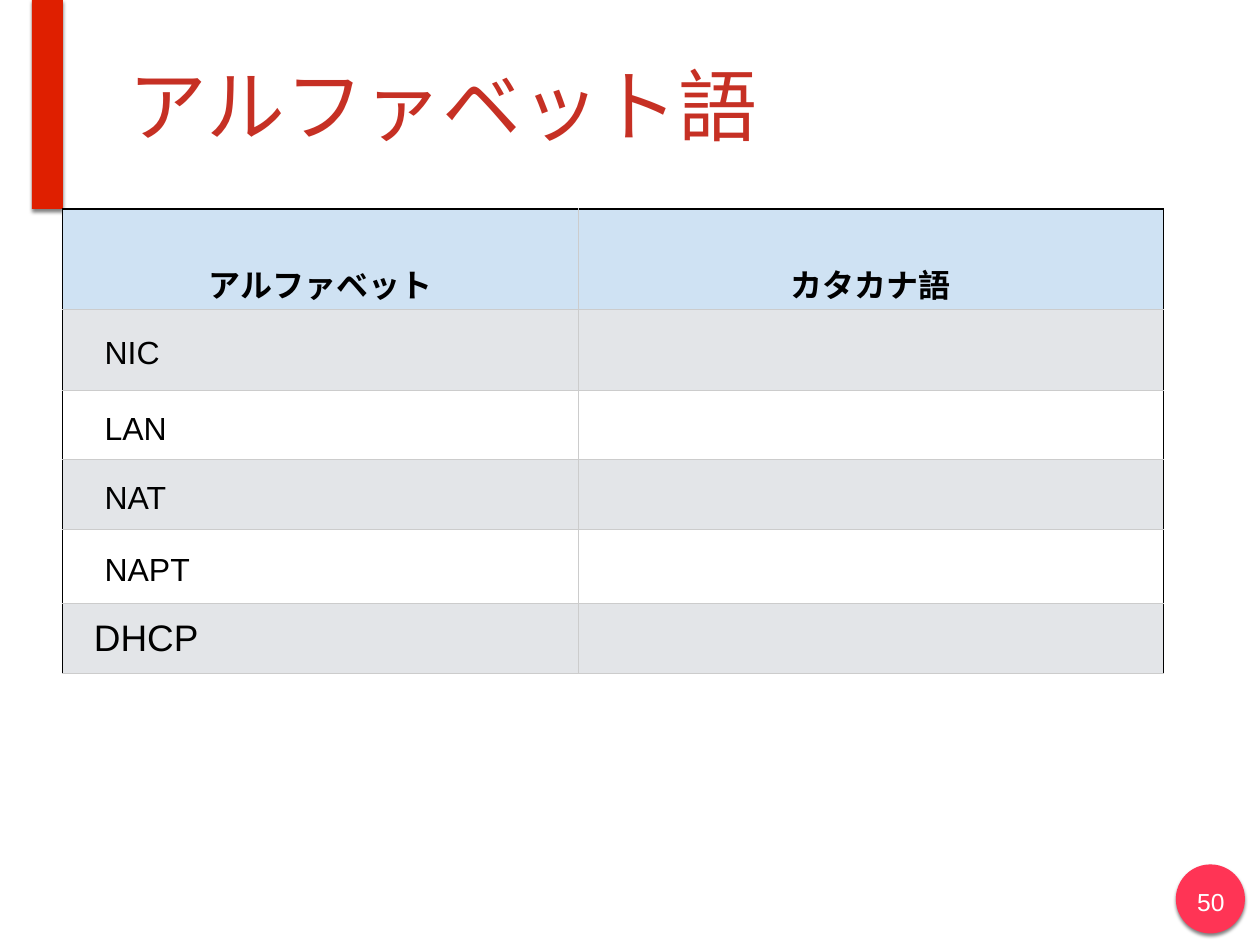
from lxml.etree import SubElement
from pptx import Presentation
from pptx.dml.color import RGBColor
from pptx.enum.shapes import MSO_SHAPE
from pptx.enum.text import MSO_ANCHOR, PP_ALIGN
from pptx.oxml.ns import qn
from pptx.util import Inches, Pt

WHITE = RGBColor(0xFF, 0xFF, 0xFF)
BLACK = RGBColor(0x00, 0x00, 0x00)
TITLE_RED = RGBColor(0xC6, 0x30, 0x24)
BAR_RED = RGBColor(0xDF, 0x1F, 0x00)
BADGE_PINK = RGBColor(0xFF, 0x34, 0x55)
HEADER_BLUE = RGBColor(0xCF, 0xE2, 0xF3)
BAND_GRAY = RGBColor(0xE3, 0xE5, 0xE8)
RULE_GRAY = RGBColor(0xCC, 0xCC, 0xCC)


def write(frame, text, size, color=BLACK, bold=False, align=PP_ALIGN.LEFT, spacing=None):
    frame.word_wrap = True
    paragraph = frame.paragraphs[0]
    paragraph.alignment = align
    paragraph.line_spacing = spacing
    run = paragraph.add_run()
    run.text = text
    run.font.name = "Arial"
    run.font.size = Pt(size)
    run.font.bold = bold
    run.font.color.rgb = color


def add_border(cell, side, color):
    line = SubElement(cell._tc.get_or_add_tcPr(), qn(f"a:ln{side}"), w=str(Pt(1)))
    fill = SubElement(line, qn("a:solidFill"))
    SubElement(fill, qn("a:srgbClr"), val=str(color))


presentation = Presentation()
presentation.slide_width = Inches(14.22)
presentation.slide_height = Inches(10.67)
slide = presentation.slides.add_slide(presentation.slide_layouts[5])

# Page badge and red bar, each with a soft shadow below
for kind, box, color in (
    (MSO_SHAPE.OVAL, (13.27, 9.76, 0.78, 0.78), BADGE_PINK),
    (MSO_SHAPE.RECTANGLE, (0.36, 0, 0.35, 2.36), BAR_RED),
):
    accent = slide.shapes.add_shape(kind, *map(Inches, box))
    accent.fill.solid()
    accent.fill.fore_color.rgb = color
    accent.line.fill.background()
    accent.shadow.inherit = False
    effects = accent._element.spPr.find(qn("a:effectLst"))
    shadow = SubElement(effects, qn("a:outerShdw"), blurRad=str(Pt(3)),
                        dist=str(Pt(2)), dir="5400000", rotWithShape="0")
    shade = SubElement(shadow, qn("a:srgbClr"), val=str(BLACK))
    SubElement(shade, qn("a:alpha"), val="50000")

# Page number
page_number = slide.shapes.add_textbox(Inches(13.42), Inches(9.95), Inches(0.49), Inches(0.45))
write(page_number.text_frame, "50", 20, color=WHITE, align=PP_ALIGN.CENTER)

# Title
title = slide.shapes.title
title.left, title.top, title.width, title.height = map(Inches, (1.39, 0.12, 12.14, 2.12))
title.text_frame.vertical_anchor = MSO_ANCHOR.MIDDLE
write(title.text_frame, "アルファベット語", 64, color=TITLE_RED)

for frame in (page_number.text_frame, title.text_frame):
    frame.margin_left = frame.margin_right = Inches(0.06)
    frame.margin_top = frame.margin_bottom = Inches(0.06)

# Table of abbreviations, with the second column left to fill in
headings = ("アルファベット", "カタカナ語")
terms = ("NIC", "LAN", "NAT", "NAPT", "DHCP")
column_widths = (5.83, 6.6)
row_heights = (1.13, 0.92, 0.78, 0.79, 0.84, 0.79)
glossary = slide.shapes.add_table(
    len(row_heights), len(column_widths), Inches(0.7), Inches(2.36),
    Inches(sum(column_widths)), Inches(sum(row_heights))).table
for column, width in zip(glossary.columns, column_widths):
    column.width = Inches(width)

for r, height in enumerate(row_heights):
    glossary.rows[r].height = Inches(height)
    for c in range(len(column_widths)):
        cell = glossary.cell(r, c)
        add_border(cell, "L", BLACK if c == 0 else RULE_GRAY)
        add_border(cell, "R", BLACK if c == 1 else RULE_GRAY)
        add_border(cell, "T", BLACK if r == 0 else RULE_GRAY)
        add_border(cell, "B", RULE_GRAY)
        cell.fill.solid()
        cell.fill.fore_color.rgb = HEADER_BLUE if r == 0 else BAND_GRAY if r % 2 else WHITE
        cell.vertical_anchor = MSO_ANCHOR.MIDDLE
        cell.margin_left = cell.margin_right = Inches(0.04)
        cell.margin_top = cell.margin_bottom = Inches(0.03)
        if r == 0:
            write(cell.text_frame, headings[c], 26, bold=True,
                  align=PP_ALIGN.CENTER, spacing=2.05)
        elif c == 0:
            last = r == len(terms)
            cell.margin_left = Inches(0.36 if last else 0.48)
            cell.margin_top = Inches(0.03 if last else 0.12)
            write(cell.text_frame, terms[r - 1], 30 if last else 26)

presentation.save("out.pptx")
